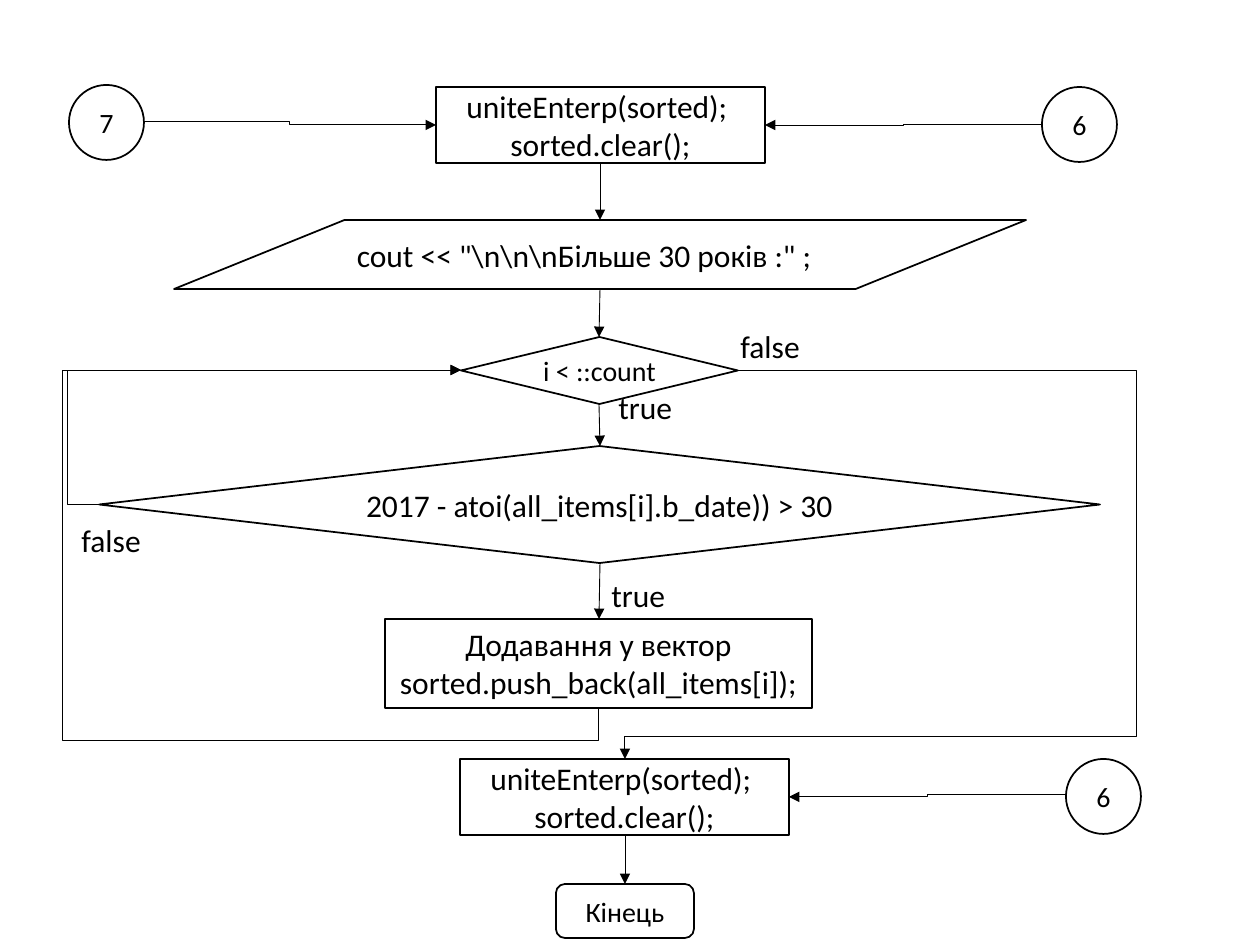
from dataclasses import dataclass

from lxml import etree
from pptx import Presentation
from pptx import util as u
from pptx.dml.color import RGBColor
from pptx.enum import shapes, text
from pptx.oxml.ns import qn

PX = 914400 / 126
G = shapes.MSO_SHAPE
C = shapes.MSO_CONNECTOR


def px(n):
    return u.Emu(round(n * PX))


@dataclass(frozen=True)
class Theme:
    font: str = "Calibri"
    ink: RGBColor = RGBColor(0, 0, 0)
    paper: RGBColor = RGBColor(255, 255, 255)
    body: int = 18
    small: int = 16
    outline: float = 1
    arrow: float = 0.5


def write(tf, content, theme, size=None, align=None, anchor=None,
          wrap=True, grow=False, insets=None):
    """Fill a text frame, one paragraph per line."""
    tf.word_wrap = wrap
    tf.auto_size = (text.MSO_AUTO_SIZE.SHAPE_TO_FIT_TEXT if grow
                    else text.MSO_AUTO_SIZE.NONE)
    tf.vertical_anchor = anchor or text.MSO_ANCHOR.TOP
    if insets:
        tf.margin_left = tf.margin_right = px(insets[0])
        tf.margin_top = tf.margin_bottom = px(insets[1])
    for i, line in enumerate(content.split("\n")):
        p = tf.add_paragraph() if i else tf.paragraphs[0]
        p.alignment = align or text.PP_ALIGN.LEFT
        r = p.add_run()
        r.text = line
        r.font.name = theme.font
        r.font.size = u.Pt(size or theme.body)
        r.font.color.rgb = theme.ink


class Flowchart:
    def __init__(self, slide, theme):
        self.s = slide
        self.theme = theme

    def node(self, kind, box, content, **fmt):
        sp = self.s.shapes.add_shape(kind, *map(px, box))
        sp.shadow.inherit = False
        sp.fill.solid()
        sp.fill.fore_color.rgb = self.theme.paper
        sp.line.color.rgb = self.theme.ink
        sp.line.width = u.Pt(self.theme.outline)
        style = {"align": text.PP_ALIGN.CENTER,
                 "anchor": text.MSO_ANCHOR.MIDDLE, **fmt}
        write(sp.text_frame, content, self.theme, **style)

    def terminal(self, kind, box, content):
        self.node(kind, box, content, size=self.theme.small, insets=(9, 5))

    def label(self, x, y, w, content):
        tb = self.s.shapes.add_textbox(px(x), px(y), px(w), px(50))
        write(tb.text_frame, content, self.theme, grow=True)

    def arrow(self, start, end, kind=C.STRAIGHT):
        c = self.s.shapes.add_connector(kind, *map(px, (*start, *end)))
        c.line.color.rgb = self.theme.ink
        c.line.width = u.Pt(self.theme.arrow)
        sppr = c._element.spPr
        etree.SubElement(sppr.find(qn("a:ln")), qn("a:tailEnd"), type="triangle")
        etree.SubElement(sppr, qn("a:effectLst"))
        return c

    def elbow(self, start, end, turns=(), down_first=False):
        """Bent arrow; turns are the coordinates of its middle segments."""
        (x1, y1), (x2, y2) = start, end
        axes = [(x1, x2), (y1, y2)]
        if down_first:
            # A quarter turn about the centre swaps the two axes
            axes.reverse()
            cx, cy = (x1 + x2) / 2, (y1 + y2) / 2
            start, end = ((cx + y - cy, cy - x + cx) for x, y in (start, end))
        c = self.arrow(start, end, C.ELBOW)
        if down_first:
            c.rotation = 90
        if turns:
            geom = c._element.spPr.find(qn("a:prstGeom"))
            geom.set("prst", f"bentConnector{len(turns) + 2}")
            av = geom.find(qn("a:avLst"))
            if av is None:
                av = etree.SubElement(geom, qn("a:avLst"))
            for i, (turn, (a, b)) in enumerate(zip(turns, axes), 1):
                ratio = round((turn - a) / (b - a) * 100000)
                etree.SubElement(av, qn("a:gd"), name=f"adj{i}", fmla=f"val {ratio}")


def main():
    prs = Presentation()
    prs.slide_width, prs.slide_height = px(1260), px(945)
    theme = Theme()
    chart = Flowchart(prs.slides.add_slide(prs.slide_layouts[6]), theme)

    # Decisions
    chart.node(G.FLOWCHART_DECISION, (461, 337, 277, 67), "i < ::count",
               size=theme.small)
    chart.node(G.FLOWCHART_DECISION, (99, 446, 1001, 117),
               "2017 - atoi(all_items[i].b_date)) > 30")

    # Processes and output
    for x, y in ((436, 87), (460, 759)):
        chart.node(G.FLOWCHART_PROCESS, (x, y, 329, 76),
                   "uniteEnterp(sorted); \nsorted.clear();")
    chart.node(G.RECTANGLE, (385, 619, 427, 89),
               "Додавання у вектор\nsorted.push_back(all_items[i]);",
               anchor=text.MSO_ANCHOR.TOP, wrap=False, grow=True)
    chart.node(G.FLOWCHART_DATA, (174, 220, 852, 69),
               r'cout << "\n\n\nБільше 30 років :" ;', align=text.PP_ALIGN.LEFT)

    # Page references and end
    for x, y, number in ((69, 85, "7"), (1042, 87, "6"), (1066, 759, "6")):
        chart.terminal(G.OVAL, (x, y, 75, 75), number)
    chart.terminal(G.ROUNDED_RECTANGLE, (556, 884, 138, 54), "Кінець")

    # Downward flow
    for start, end in (((600, 163), (600, 220)), ((600, 289), (599, 337)),
                       ((599, 404), (600, 446)), ((600, 563), (599, 619)),
                       ((625, 835), (625, 884))):
        chart.arrow(start, end)

    # Entries from page references
    chart.elbow((144, 122), (436, 125))
    chart.elbow((1042, 124), (765, 125))
    chart.elbow((1066, 795), (789, 797))

    # Loop returns and loop exit
    chart.elbow((599, 708), (461, 370), turns=(740, 63), down_first=True)
    chart.elbow((99, 505), (461, 370), turns=(68,))
    chart.elbow((737, 370), (625, 759), turns=(1137, 736))

    # Branch labels
    for x, y, w, content in ((599, 570, 117, "true"), (69, 515, 92, "false"),
                             (606, 382, 117, "true"), (728, 321, 92, "false")):
        chart.label(x, y, w, content)

    prs.save("out.pptx")


if __name__ == "__main__":
    main()
